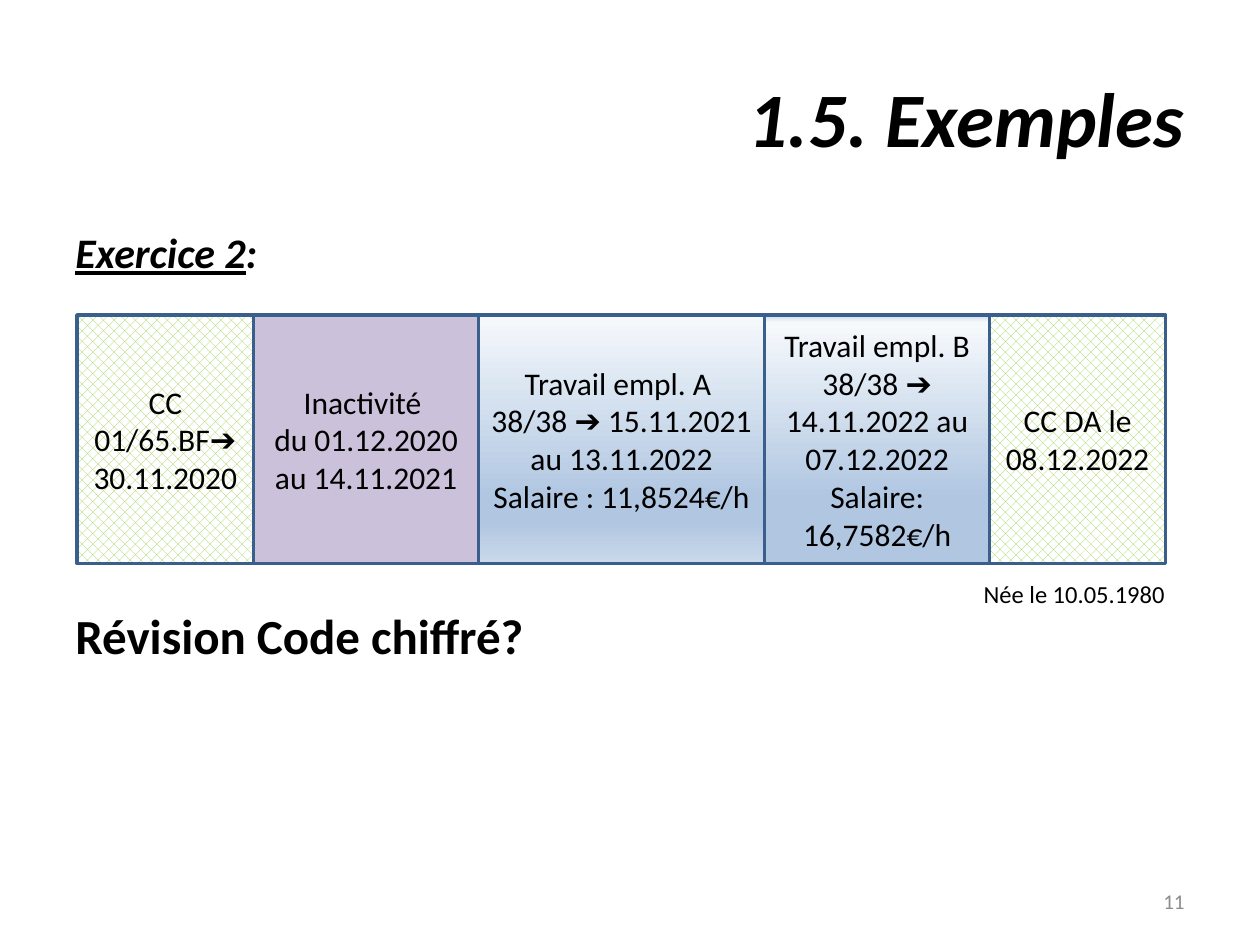
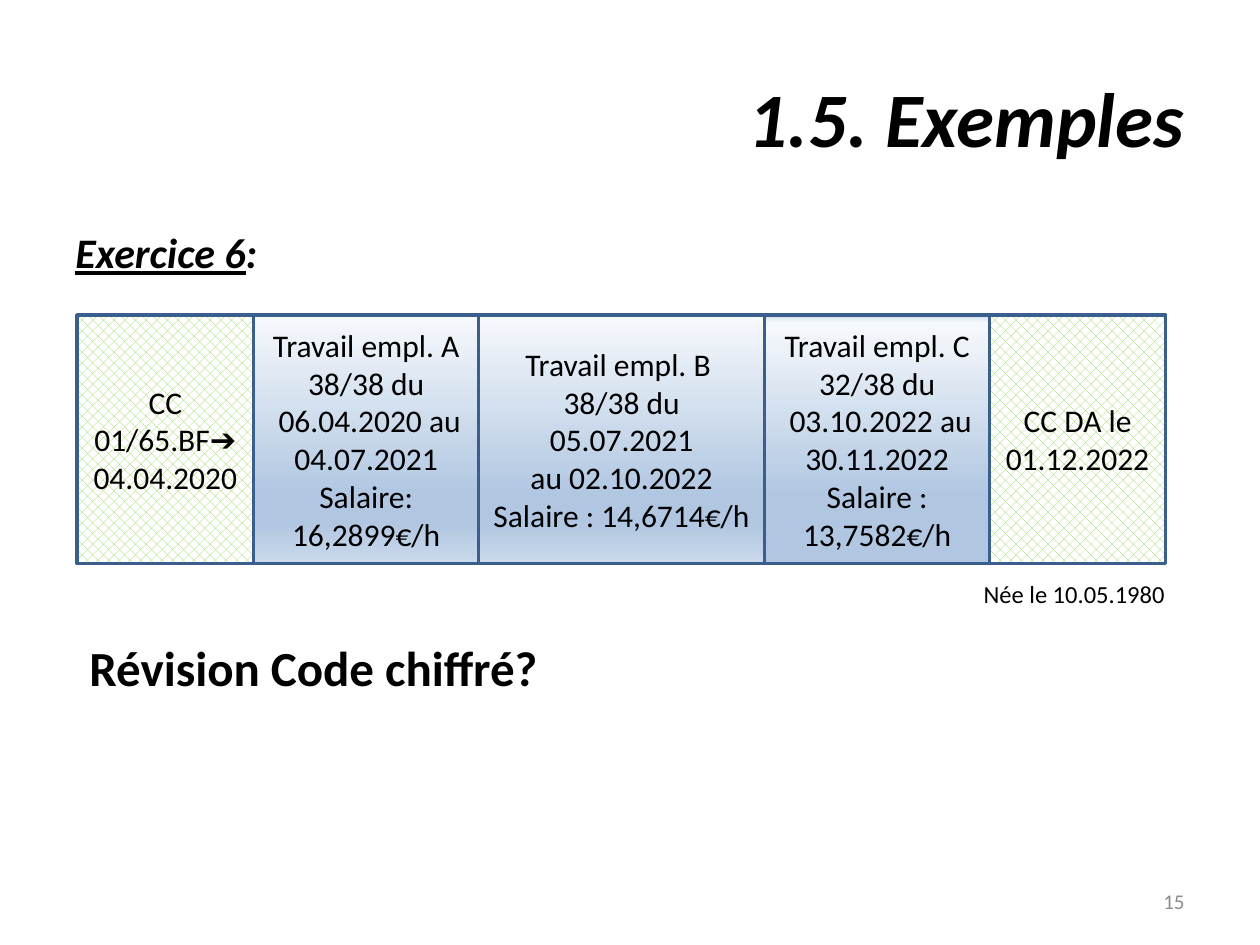
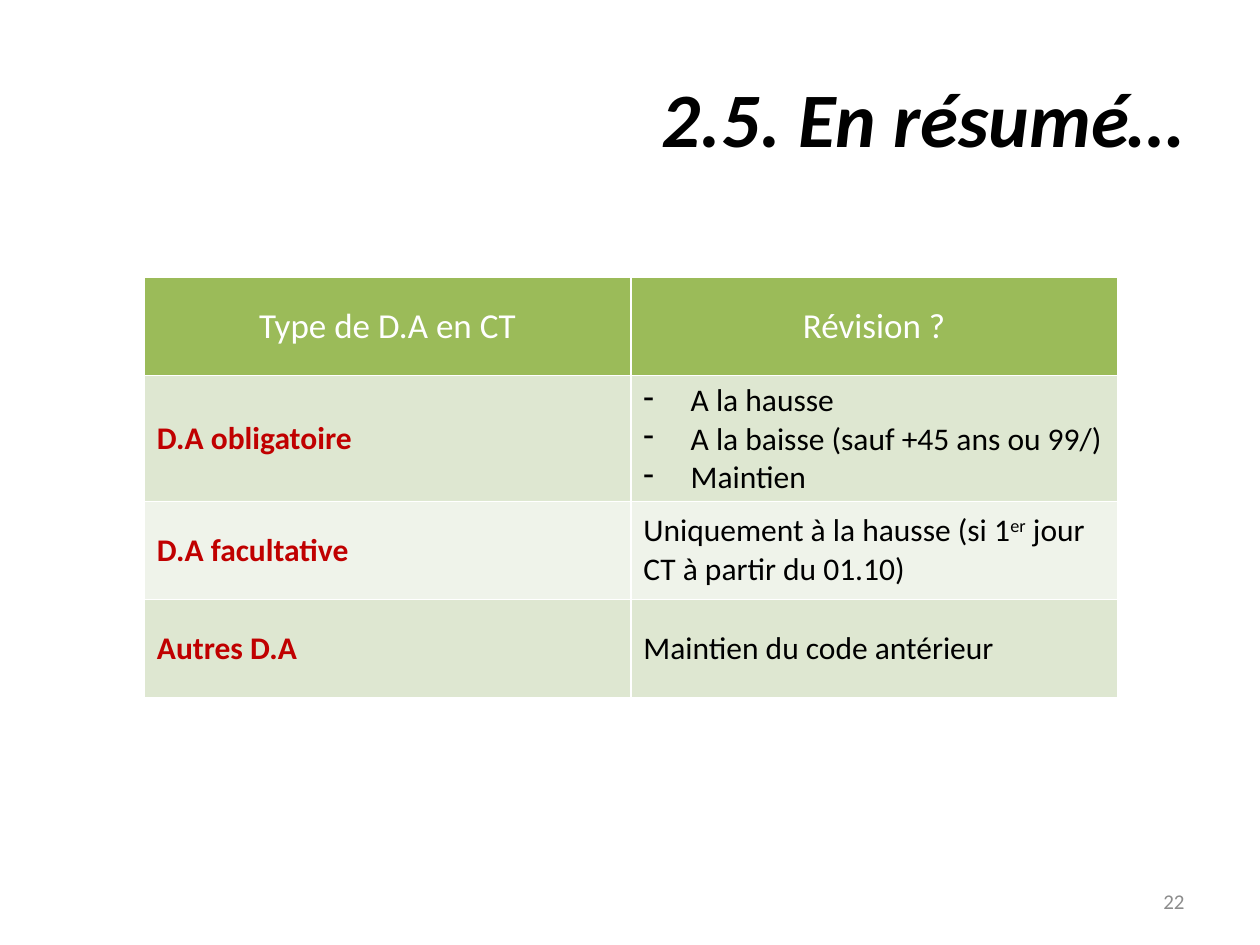
from copy import deepcopy

from lxml import etree
from pptx import Presentation
from pptx import util as u
from pptx.dml.color import RGBColor
from pptx.enum import dml, shapes, text
from pptx.oxml.ns import qn

Pt = u.Pt
LEFT, CENTER, RIGHT = text.PP_ALIGN.LEFT, text.PP_ALIGN.CENTER, text.PP_ALIGN.RIGHT
MIDDLE = text.MSO_ANCHOR.MIDDLE

COLORS = {
    "black": "000000", "white": "FFFFFF", "number": "8C8C8C", "red": "C00000",
    "outline": "3A5F8C", "link": "4B7EBC", "weave": "92D050", "idle": "CCC1DA",
    "pale": "F6F9FC", "blue": "B0C6E1", "light": "CAD9EB",
    "header": "9BBB59", "band": "DEE7D1", "plain": "EFF3EA",
}
RGB = {name: RGBColor.from_string(value) for name, value in COLORS.items()}

# Text formats
BASE = {"name": "Calibri", "size": Pt(18), "bold": False, "italic": False, "color": "black"}
TITLE = {"size": Pt(44), "bold": True, "italic": True}
HEADING = {"size": Pt(24), "bold": True, "italic": True}
QUESTION = {"size": Pt(28), "bold": True}
NUMBER = {"size": Pt(12), "color": "number"}
LABEL = {"bold": True, "color": "red"}

# Gradient stops: position in percent, colour
WORK = [(0, "pale"), (74, "blue"), (83, "blue"), (100, "light")]
LAST_WORK = [(0, "light"), (3, "pale"), (74, "blue"), (83, "blue")]


def write(frame, paras, style, align=LEFT, anchor=text.MSO_ANCHOR.TOP):
    """Fill a frame; a paragraph is a string or a list of (text, format) spans."""
    frame.word_wrap = True
    frame.vertical_anchor = anchor
    for index, spans in enumerate(paras):
        para = frame.paragraphs[0] if index == 0 else frame.add_paragraph()
        para.alignment = align
        for content, extra in [(spans, {})] if isinstance(spans, str) else spans:
            for part, line in enumerate(content.split("\v")):
                if part:
                    para.add_line_break()
                span = para.add_run()
                span.text = line
                for key, value in {**BASE, **style, **extra}.items():
                    if key == "color":
                        span.font.color.rgb = RGB[value]
                    else:
                        setattr(span.font, key, value)


def add_text(page, place, paras, style, align=LEFT, anchor=text.MSO_ANCHOR.TOP):
    box = page.shapes.add_textbox(*map(Pt, place))
    write(box.text_frame, paras, style, align, anchor)


deck = Presentation()
deck.slide_width, deck.slide_height = Pt(720), Pt(540)

# Titles and page numbers
pages = []
for title, number in [("1.5. Exemples", "11"), ("1.5. Exemples", "15"), ("2.5. En résumé…", "22")]:
    page = deck.slides.add_slide(deck.slide_layouts[5])
    holder = page.shapes.title
    holder.left, holder.top, holder.width, holder.height = map(Pt, (36, 21.6, 648, 90))
    write(holder.text_frame, [title], TITLE, RIGHT, MIDDLE)
    add_text(page, (516, 500.5, 168, 28.75), [number], NUMBER, RIGHT, MIDDLE)
    pages.append(page)

# Exercises: heading, place of the question, periods on the timeline
exercises = [
    ("Exercice 2", (36, 342.75, 296, 41), [
        ("weave", ["CC 01/65.BF➔30.11.2020"]),
        ("idle", ["Inactivité ", "du 01.12.2020 au 14.11.2021"]),
        (WORK, ["Travail empl. A \v38/38 ➔ 15.11.2021", "au 13.11.2022",
                "Salaire : 11,8524€/h"]),
        (LAST_WORK, ["Travail empl. B 38/38 ➔",
                     "14.11.2022 au 07.12.2022 Salaire: 16,7582€/h"]),
        ("weave", ["CC DA le 08.12.2022"]),
    ]),
    ("Exercice 6", (44, 360.75, 372, 41), [
        ("weave", ["CC 01/65.BF➔04.04.2020"]),
        (WORK, ["Travail empl. A 38/38 du", " 06.04.2020 au 04.07.2021",
                "Salaire: 16,2899€/h"]),
        (WORK, ["Travail empl. B \v38/38 du 05.07.2021", "au 02.10.2022",
                "Salaire : 14,6714€/h"]),
        (LAST_WORK, ["Travail empl. C 32/38 du",
                     " 03.10.2022 au 30.11.2022 Salaire : 13,7582€/h"]),
        ("weave", ["CC DA le 01.12.2022"]),
    ]),
]
edges = [44, 145, 273.5, 437, 565.5, 666]

for page, (heading, question_place, periods) in zip(pages, exercises):
    add_text(page, (36, 126, 648, 40), [[(heading, {"underline": True}), (":", {})]], HEADING)

    # Timeline
    boxes = []
    for left, right, (look, paras) in zip(edges, edges[1:], periods):
        box = page.shapes.add_shape(shapes.MSO_SHAPE.RECTANGLE, Pt(left), Pt(180),
                                    Pt(right - left), Pt(142))
        box.shadow.inherit = False
        box.line.color.rgb, box.line.width = RGB["outline"], Pt(2)
        if look == "weave":
            box.fill.patterned()
            box.fill.pattern = dml.MSO_PATTERN.WEAVE
            box.fill.fore_color.rgb, box.fill.back_color.rgb = RGB["weave"], RGB["white"]
        elif look == "idle":
            box.fill.solid()
            box.fill.fore_color.rgb = RGB["idle"]
        else:
            box.fill.gradient()
            box.fill.gradient_angle = 270
            stop_list = next(box._element.iter(qn("a:gsLst")))
            for extra_stop in [deepcopy(stop) for stop in stop_list]:
                stop_list.append(extra_stop)
            for stop, (position, color) in zip(box.fill.gradient_stops, look):
                stop.position, stop.color.rgb = position / 100, RGB[color]
        write(box.text_frame, paras, {}, CENTER, MIDDLE)
        boxes.append(box)

    # Links between neighbouring periods
    for before, after in zip(boxes, boxes[1:]):
        link = page.shapes.add_connector(shapes.MSO_CONNECTOR.STRAIGHT, 0, 0, 0, 0)
        link.begin_connect(before, 3)
        link.end_connect(after, 1)
        link.line.color.rgb, link.line.width = RGB["link"], Pt(0.75)
        etree.SubElement(link._element.spPr, qn("a:effectLst"))

    add_text(page, (555, 327.6, 129, 24.5), ["Née le 10.05.1980"], {"size": Pt(14)})
    add_text(page, question_place, ["Révision Code chiffré?"], QUESTION)

# Summary table
rows = [
    ("header", ["Type de D.A en CT"], ["Révision ?"]),
    ("band", ["D.A obligatoire"],
     ["A la hausse", "A la baisse (sauf +45 ans ou 99/)", "Maintien"]),
    ("plain", ["D.A facultative"],
     [[("Uniquement à la hausse (si 1", {}), ("er", {}), (" jour CT à partir du 01.10)", {})]]),
    ("band", ["Autres D.A"], ["Maintien du code antérieur"]),
]
table = pages[2].shapes.add_table(4, 2, Pt(82.5), Pt(158.5), Pt(556), Pt(224)).table
for row, (fill, *contents) in enumerate(rows):
    for column, paras in enumerate(contents):
        cell = table.cell(row, column)
        if row == 0:
            style, align = {"size": Pt(20), "color": "white"}, CENTER
        else:
            style, align = ({} if column else LABEL), LEFT
        write(cell.text_frame, paras, style, align)
        cell.vertical_anchor = MIDDLE
        for side in "LRTB":
            border = etree.SubElement(cell._tc.get_or_add_tcPr(), qn(f"a:ln{side}"), w=str(Pt(1)))
            paint = etree.SubElement(border, qn("a:solidFill"))
            etree.SubElement(paint, qn("a:srgbClr"), val=COLORS["white"])
        cell.fill.solid()
        cell.fill.fore_color.rgb = RGB[fill]

# Dashes of the list and the raised ordinal
for para in table.cell(1, 1).text_frame.paragraphs:
    properties = para._p.get_or_add_pPr()
    properties.set("marL", str(Pt(27)))
    properties.set("indent", str(-Pt(27)))
    etree.SubElement(properties, qn("a:buChar"), char="-")
ordinal = table.cell(2, 1).text_frame.paragraphs[0].runs[1]
ordinal._r.get_or_add_rPr().set("baseline", "30000")

deck.save("out.pptx")
